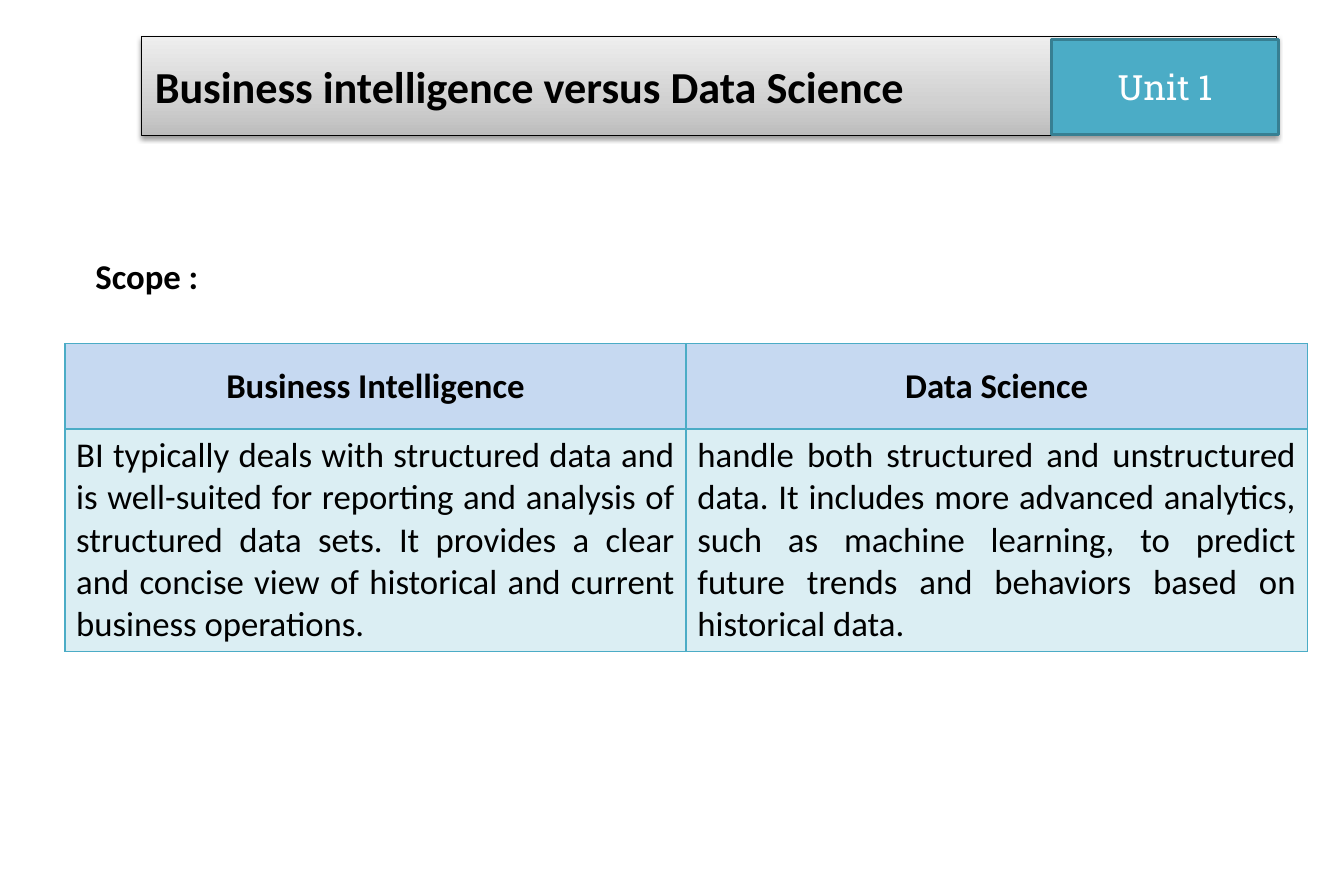
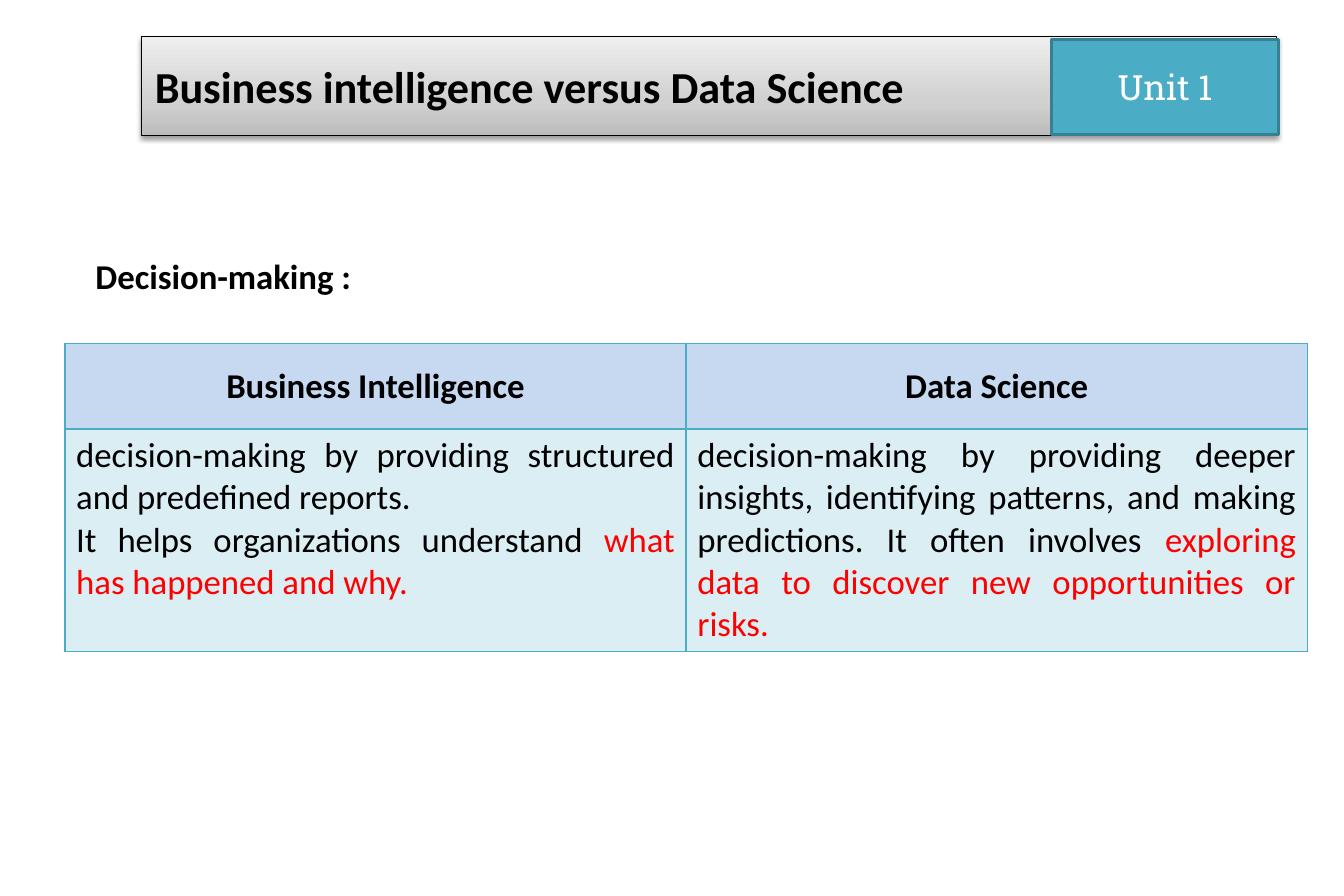
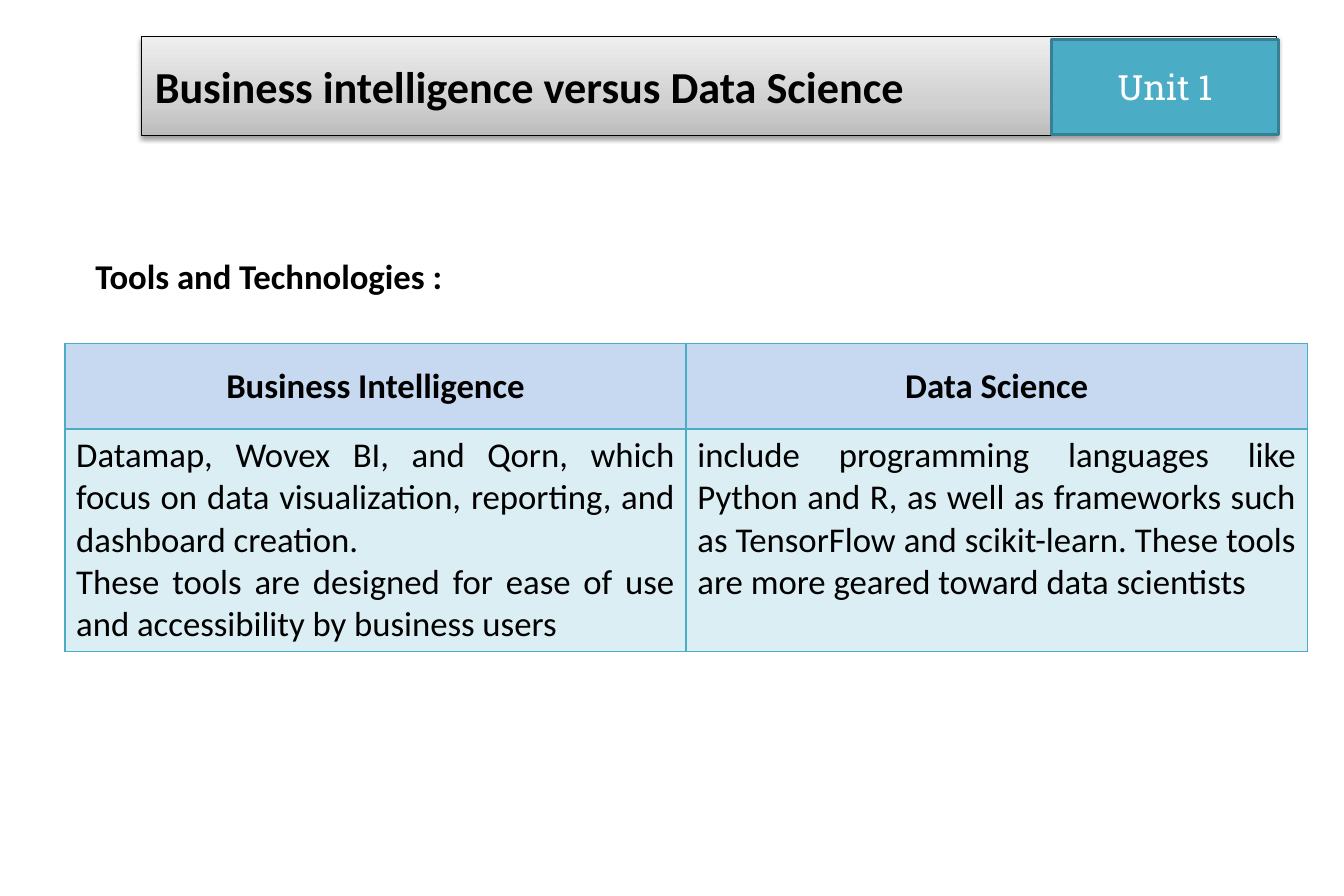
from dataclasses import dataclass

from lxml.etree import SubElement
from pptx import Presentation
from pptx.dml.color import RGBColor
from pptx.enum.shapes import MSO_SHAPE as Preset
from pptx.enum.text import MSO_ANCHOR as Anchor, MSO_AUTO_SIZE as AutoSize, PP_ALIGN as Align
from pptx.oxml.ns import qn
from pptx.util import Inches, Pt


@dataclass(frozen=True)
class Theme:
    ink: str = "000000"
    paper: str = "FFFFFF"
    teal: str = "4BACC6"
    teal_edge: str = "377F92"
    header: str = "C6D9F1"
    highlight: str = "FF0000"
    band: tuple = ((0, "BDBDBD"), (35, "D1D1D1"), (100, "EEEEEE"))
    light_grid: str = "{BDBED569-4797-4DF1-A0F4-6AAB3CD982D8}"
    body_font: str = "Calibri"
    badge_font: str = "Roboto Slab"
    title_size: int = 28
    body_size: int = 22


THEME = Theme()
TITLE = "Business intelligence versus Data Science"
COLUMNS = ("Business Intelligence", "Data Science")
TOPICS = (
    ("Scope :", 2.08, (
        ("BI typically deals with structured data and is well-suited for reporting and analysis "
         "of structured data sets. It provides a clear and concise view of historical and "
         "current business operations.", ""),
        ("handle both structured and unstructured data. It includes more advanced analytics, "
         "such as machine learning, to predict future trends and behaviors based on "
         "historical data.", ""),
    )),
    ("Decision-making :", 3.58, (
        ("decision-making by providing structured and predefined reports.\n"
         "It helps organizations understand what has happened and why.",
         "what has happened and why."),
        ("decision-making by providing deeper insights, identifying patterns, and making "
         "predictions. It often involves exploring data to discover new opportunities or risks.",
         "exploring data to discover new opportunities or risks."),
    )),
    ("Tools and Technologies :", 3.58, (
        ("Datamap, Wovex BI, and Qorn, which focus on data visualization, reporting, and "
         "dashboard creation.\n"
         "These tools are designed for ease of use and accessibility by business users", ""),
        ("include programming languages like Python and R, as well as frameworks such as "
         "TensorFlow and scikit-learn. These tools are more geared toward data scientists", ""),
    )),
)


def rgb(color):
    return RGBColor.from_string(color)


def write(frame, text, size=THEME.body_size, font=THEME.body_font, color=THEME.ink,
          bold=False, align=Align.LEFT, highlight=""):
    for number, line in enumerate(text.split("\n")):
        paragraph = frame.add_paragraph() if number else frame.paragraphs[0]
        paragraph.alignment = align
        before, marked, after = line.partition(highlight) if highlight else (line, "", "")
        for words, ink in ((before, color), (marked, THEME.highlight), (after, color)):
            if words:
                run = paragraph.add_run()
                run.text = words
                run.font.size = Pt(size)
                run.font.name = font
                run.font.bold = bold
                run.font.color.rgb = rgb(ink)


def add_color(parent, color, alpha=None):
    node = SubElement(parent, qn("a:srgbClr"), val=color)
    if alpha is not None:
        SubElement(node, qn("a:alpha"), val=str(alpha * 1000))


class Deck:
    def __init__(self, theme):
        self.theme = theme
        self.presentation = Presentation()
        self.presentation.slide_width = Inches(94.5 / 8)
        self.presentation.slide_height = Inches(63 / 8)
        self.slide = None

    def start_slide(self, title):
        self.slide = self.presentation.slides.add_slide(self.presentation.slide_layouts[5])
        self.title_band(title)
        self.unit_badge("Unit 1")

    def title_band(self, text):
        band = self.slide.shapes.title
        band.left, band.top = Inches(1.24), Inches(0.32)
        band.width, band.height = Inches(9.98), Inches(0.87)
        band.fill.gradient()
        band.fill.gradient_angle = 90
        stops = band.element.spPr.find(".//" + qn("a:gsLst"))
        for stop in list(stops):
            stops.remove(stop)
        for position, color in self.theme.band:
            add_color(SubElement(stops, qn("a:gs"), pos=str(position * 1000)), color)
        band.line.color.rgb = rgb(self.theme.ink)
        band.line.width = Pt(0.75)
        band.shadow.inherit = False
        shadow = SubElement(band.element.spPr.find(qn("a:effectLst")), qn("a:outerShdw"),
                            blurRad=str(Pt(3.1)), dist=str(Pt(1.6)), dir="5400000",
                            rotWithShape="0")
        add_color(shadow, self.theme.ink, alpha=38)
        frame = band.text_frame
        frame.auto_size = AutoSize.NONE
        frame.word_wrap = True
        frame.vertical_anchor = Anchor.MIDDLE
        frame.margin_left = frame.margin_right = Inches(0.12)
        frame.margin_top = frame.margin_bottom = Inches(0.06)
        write(frame, text, size=self.theme.title_size, bold=True)

    def unit_badge(self, text):
        badge = self.slide.shapes.add_shape(
            Preset.RECTANGLE, Inches(9.24), Inches(0.35), Inches(2), Inches(0.83))
        badge.shadow.inherit = False
        badge.fill.solid()
        badge.fill.fore_color.rgb = rgb(self.theme.teal)
        badge.line.color.rgb = rgb(self.theme.teal_edge)
        badge.line.width = Pt(2)
        badge.text_frame.vertical_anchor = Anchor.MIDDLE
        write(badge.text_frame, text, font=self.theme.badge_font, color=self.theme.paper,
              align=Align.CENTER)

    def topic_label(self, text, width):
        label = self.slide.shapes.add_textbox(
            Inches(0.74), Inches(2.19), Inches(width), Inches(0.47))
        label.text_frame.word_wrap = True
        label.text_frame.auto_size = AutoSize.SHAPE_TO_FIT_TEXT
        write(label.text_frame, text, bold=True)

    def comparison(self, headings, bodies):
        table = self.slide.shapes.add_table(
            2, len(headings), Inches(0.57), Inches(3.02), Inches(10.92), Inches(2.67)).table
        table._tbl.tblPr.find(qn("a:tableStyleId")).text = self.theme.light_grid
        table.rows[0].height, table.rows[1].height = Inches(0.75), Inches(1.92)
        for column, (heading, (body, highlight)) in enumerate(zip(headings, bodies)):
            top, bottom = table.cell(0, column), table.cell(1, column)
            self.fill_cell(top, self.theme.header)
            top.vertical_anchor = Anchor.MIDDLE
            write(top.text_frame, heading, bold=True, align=Align.CENTER)
            self.fill_cell(bottom, self.theme.teal, alpha=20)
            write(bottom.text_frame, body, align=Align.JUSTIFY, highlight=highlight)

    def fill_cell(self, cell, color, alpha=None):
        properties = cell._tc.get_or_add_tcPr()
        add_color(SubElement(properties, qn("a:solidFill")), color, alpha)

    def save(self):
        self.presentation.save("out.pptx")


def main():
    deck = Deck(THEME)
    for topic, label_width, bodies in TOPICS:
        deck.start_slide(TITLE)
        deck.comparison(COLUMNS, bodies)
        deck.topic_label(topic, label_width)
    deck.save()


if __name__ == "__main__":
    main()
